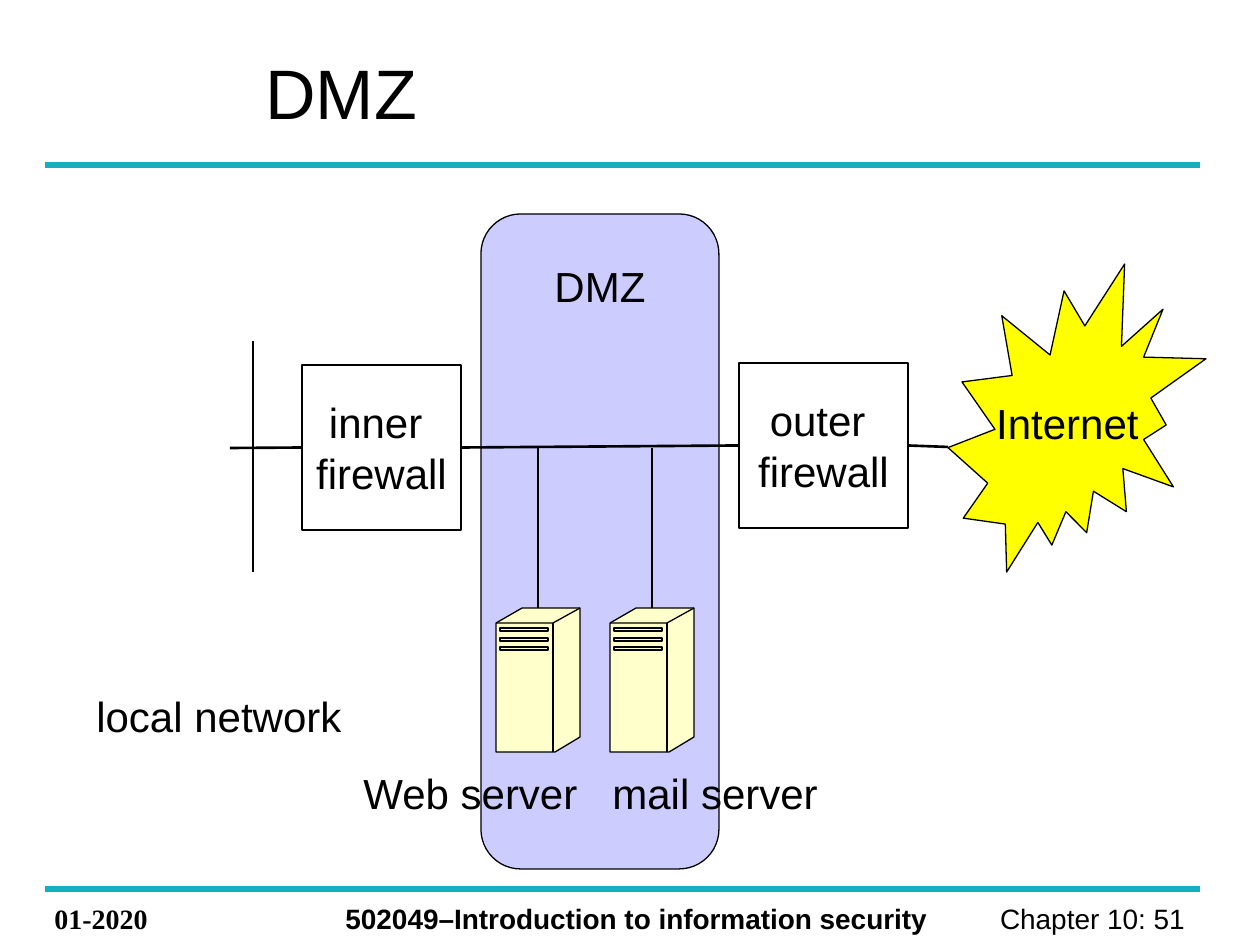
from lxml import etree
from pptx import Presentation
from pptx.dml.color import RGBColor
from pptx.enum.shapes import MSO_CONNECTOR, MSO_SHAPE
from pptx.enum.text import MSO_ANCHOR, PP_ALIGN
from pptx.oxml.ns import qn
from pptx.util import Emu, Pt

LINE = MSO_CONNECTOR.STRAIGHT
RECT, ROUNDED, BURST = MSO_SHAPE.RECTANGLE, MSO_SHAPE.ROUNDED_RECTANGLE, MSO_SHAPE.EXPLOSION2
TOP, MIDDLE = MSO_ANCHOR.TOP, MSO_ANCHOR.MIDDLE
LEFT, CENTER, RIGHT = PP_ALIGN.LEFT, PP_ALIGN.CENTER, PP_ALIGN.RIGHT
SIDE_LEFT, SIDE_RIGHT = 1, 3
EMU_PER_PX = 914400 / 126
BLACK, TEAL, LILAC, YELLOW, CREAM = "000000", "16AFC2", "CCCCFF", "FFFF00", "FFFFCC"


def px(n):
    return Emu(round(n * EMU_PER_PX))


def color(value):
    return RGBColor.from_string(value)


def write(sp, lines, size, align, anchor, wrap, top=6, font="Arial", bold=False):
    tf = sp.text_frame
    tf.word_wrap = wrap
    tf.vertical_anchor = anchor
    tf.margin_top = px(top)
    for i, line in enumerate(lines):
        p = tf.add_paragraph() if i else tf.paragraphs[0]
        p.alignment = align
        r = p.add_run()
        r.text = line
        r.font.name, r.font.size, r.font.bold = font, Pt(size), bold
        r.font.color.rgb = color(BLACK)


def add_text(slide, box, text, size, align=LEFT, anchor=TOP, **style):
    sp = slide.shapes.add_textbox(*map(px, box))
    write(sp, [text], size, align, anchor, True, **style)


def paint(sp, fill):
    sp.shadow.inherit = False
    if fill:
        sp.fill.solid()
        sp.fill.fore_color.rgb = color(fill)
    else:
        sp.fill.background()
    sp.line.color.rgb = color(BLACK)
    sp.line.width = Pt(0.75)


def add_block(slide, kind, box, lines, fill=None, anchor=MIDDLE, top=6):
    sp = slide.shapes.add_shape(kind, *map(px, box))
    paint(sp, fill)
    write(sp, lines, 24, CENTER, anchor, False, top)
    return sp


def add_line(slide, x1, y1, x2, y2, line_color=BLACK, width=1.5):
    line = slide.shapes.add_connector(LINE, px(x1), px(y1), px(x2), px(y2))
    line.line.color.rgb = color(line_color)
    line.line.width = Pt(width)
    etree.SubElement(line._element.spPr, qn("a:effectLst"))
    return line


def add_outline(slide, x, y, contours, close, fill=None):
    first, *others = contours
    builder = slide.shapes.build_freeform(*first[0], scale=EMU_PER_PX)
    builder.add_line_segments(first[1:], close=close)
    for points in others:
        builder.move_to(*points[0])
        builder.add_line_segments(points[1:], close=close)
    paint(builder.convert_to_shape(px(x), px(y)), fill)


def add_server(slide, box):
    x, y, w, h = box
    front, depth = 57, 15
    body = [(0, depth), (26, 0), (w, 0), (w, h - depth), (front + 2, h), (0, h)]
    edges = [[(0, depth), (front, depth), (w, 0)], [(front, depth), (front, h)]]
    slots = [[(4, t), (52, t), (52, t + 3), (4, t + 3), (4, t)] for t in (20, 30, 39)]
    add_outline(slide, x, y, [body], True, CREAM)
    add_outline(slide, x, y, edges + slots, False)


def add_frame(slide, box):
    x, y, w, h = box
    # Title and rules
    add_text(slide, (x + 208, y + 37, 922, 110), "DMZ", 40, anchor=MIDDLE)
    for rule_y in (y + 165, y + h - 56):
        add_line(slide, x, rule_y, x + w, rule_y, TEAL, 3)
    # Footer
    foot = y + h - 49
    add_text(slide, (x - 3, foot, 168, 47), "01-2020", 16, font="Times New Roman", bold=True)
    add_text(slide, (x + 288, foot, 635, 47),
             "502049–Introduction to information security", 16, bold=True)
    add_text(slide, (x + 883, foot, 277, 47), "Chapter 10: 51 ", 16, RIGHT)


def add_network(slide, box):
    x, y, w, h = box
    # Zones and firewalls
    zone = add_block(slide, ROUNDED, (x + 397, y, 238, h), ["DMZ"], LILAC, TOP, 35)
    zone.adjustments[0] = 0.167
    inner = add_block(slide, RECT, (x + 218, y + 151, 159, 165), ["inner ", "firewall"])
    outer = add_block(slide, RECT, (x + 655, y + 149, 169, 165), ["outer ", "firewall"])
    add_block(slide, BURST, (x + 864, y + 50, 258, 308), ["Internet"], YELLOW)
    # Labels
    for left, top, width, label in ((0, 466, 277, "local network"),
                                    (267, 543, 258, "Web server"),
                                    (516, 543, 258, "mail server")):
        add_text(slide, (x + left, y + top, width, 63), label, 24, top=11)
    # Cables
    wire = y + 234
    add_line(slide, x + 169, y + 127, x + 169, y + 358)
    lan = add_line(slide, x + 146, wire, x + 218, wire)
    lan.end_connect(inner, SIDE_LEFT)
    bus = add_line(slide, x + 377, wire, x + 655, wire - 2)
    bus.begin_connect(inner, SIDE_RIGHT)
    bus.end_connect(outer, SIDE_LEFT)
    uplink = add_line(slide, x + 824, wire - 2, x + 864, wire - 1)
    uplink.begin_connect(outer, SIDE_RIGHT)
    # Servers hanging from the bus
    for left in (x + 412, x + 526):
        add_server(slide, (left, y + 394, 84, 144))
        add_line(slide, left + 42, wire, left + 42, y + 394)


def main():
    prs = Presentation()
    prs.slide_width, prs.slide_height = px(1260), px(945)
    slide = prs.slides.add_slide(prs.slide_layouts[6])
    add_frame(slide, (45, 0, 1155, 945))
    add_network(slide, (84, 214, 1122, 655))
    prs.save("out.pptx")


if __name__ == "__main__":
    main()
